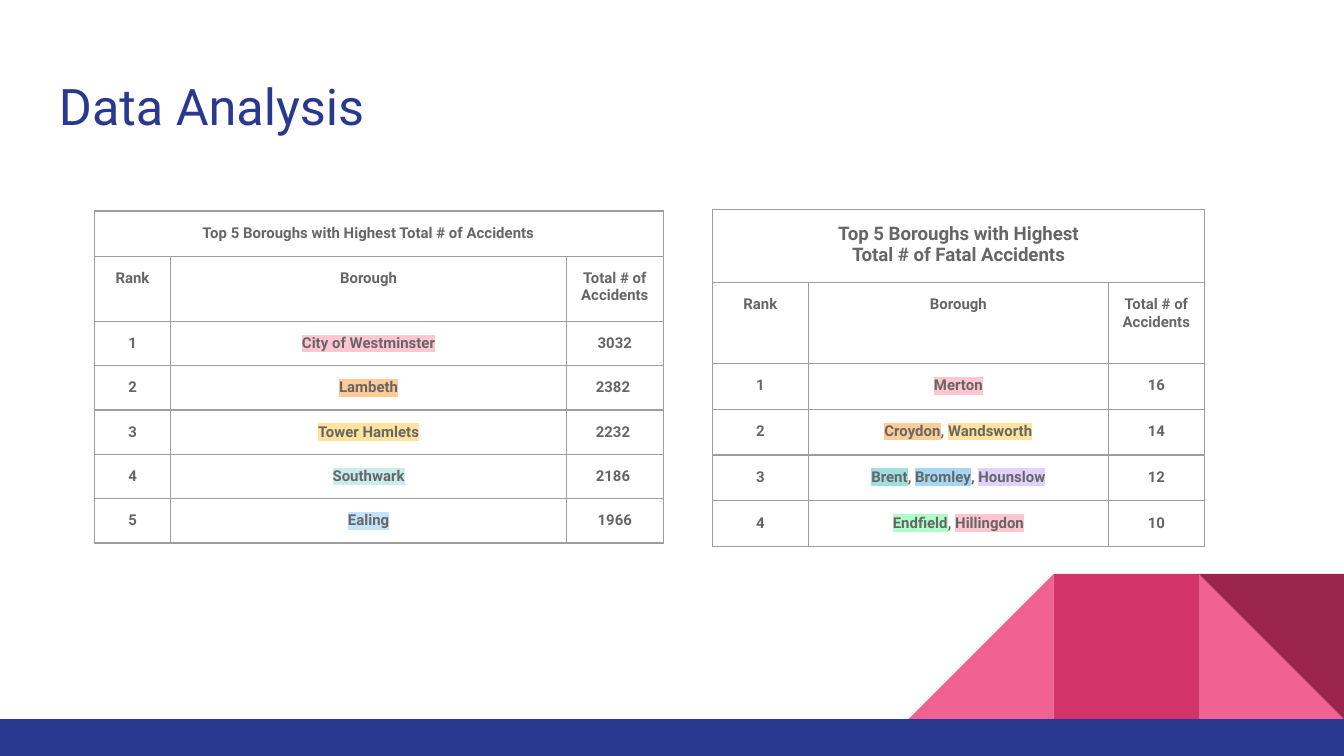
from lxml import etree
from pptx import Presentation
from pptx.dml.color import RGBColor
from pptx.enum.shapes import MSO_SHAPE
from pptx.enum.text import MSO_ANCHOR, PP_ALIGN
from pptx.oxml.ns import qn
from pptx.util import Pt

RECTANGLE = MSO_SHAPE.RECTANGLE
TRIANGLE = MSO_SHAPE.RIGHT_TRIANGLE
CENTER = PP_ALIGN.CENTER
BOTTOM = MSO_ANCHOR.BOTTOM

FONT = "Roboto"
NAVY, PINK, ROSE, WINE = "2A3990", "F06292", "D23369", "9C254D"
GREY, LINE, WHITE = "666666", "9E9E9E", "FFFFFF"
PADDING = Pt(7.2)


def color(value):
    return RGBColor.from_string(value)


def add_text(para, text, size, fill=GREY, bold=False, highlight=None):
    span = para.add_run()
    span.text = text
    span.font.size = Pt(size)
    span.font.bold = bold
    span.font.color.rgb = color(fill)
    if highlight:
        mark = etree.SubElement(span.font._element, qn("a:highlight"))
        etree.SubElement(mark, qn("a:srgbClr"), val=highlight)
    span.font.name = FONT


deck = Presentation()
deck.slide_width, deck.slide_height = Pt(720), Pt(405)
page = deck.slides.add_slide(deck.slide_layouts[6])

# Footer band with the folded blocks standing on it
BAND_TOP, SIDE = 385.2, 77.76
BLOCK_TOP = BAND_TOP - SIDE
decorations = [
    (TRIANGLE, 720 - SIDE, BLOCK_TOP, SIDE, SIDE, 0, PINK),
    (TRIANGLE, 720 - 3 * SIDE, BLOCK_TOP, SIDE, SIDE, 270, PINK),
    (RECTANGLE, 720 - 2 * SIDE, BLOCK_TOP, SIDE, SIDE, 0, ROSE),
    (TRIANGLE, 720 - SIDE, BLOCK_TOP, SIDE, SIDE, 180, WINE),
    (RECTANGLE, 0, BAND_TOP, 720, 405 - BAND_TOP, 0, NAVY),
]
for kind, left, top, width, height, rotation, fill in decorations:
    shape = page.shapes.add_shape(kind, Pt(left), Pt(top), Pt(width), Pt(height))
    shape.rotation = rotation
    shape.shadow.inherit = False
    shape.fill.solid()
    shape.fill.fore_color.rgb = color(fill)
    shape.line.fill.background()

# Each cell is a list of (text, highlight) spans
HEADINGS = [[("Rank", None)], [("Borough", None)], [("Total # of Accidents", None)]]
fatal_accidents = [
    ([("Merton", "FFC6D2")], "16"),
    ([("Croydon", "FFCB97"), (", ", None), ("Wandsworth", "FFE29B")], "14"),
    ([("Brent", "A1DFDF"), (", ", None), ("Bromley", "A6D6F6"), (", ", None),
      ("Hounslow", "E0D1FF")], "12"),
    ([("Endfield", "B0FCCB"), (", ", None), ("Hillingdon", "FFC6D2")], "10"),
]
all_accidents = [
    ([("City of Westminster", "FFC6D2")], "3032"),
    ([("Lambeth", "FFCB97")], "2382 "),
    ([("Tower Hamlets", "FFE29B")], "2232 "),
    ([("Southwark", "C9ECEC")], "2186 "),
    ([("Ealing", "C2E3F9")], "1966"),
]
# title, title size, left, top, column widths, title / heading / body row heights, entries
tables = [
    ("Top 5 Boroughs with Highest Total # of Fatal Accidents", 10, 381.6, 112.2,
     (51.5, 160.7, 51.5), (39.1, 43.5, 24.5), fatal_accidents),
    ("Top 5 Boroughs with Highest Total # of Accidents", 8, 50.5, 113,
     (41, 212, 51.8), (23.7, 34.8, 23.7), all_accidents),
]
for title, title_size, left, top, widths, heights, entries in tables:
    rows = [[[], [(title, None)], []], HEADINGS]
    for rank, (boroughs, total) in enumerate(entries, start=1):
        rows.append([[(str(rank), None)], boroughs, [(total, None)]])
    row_heights = heights[:2] + heights[2:] * len(entries)
    table = page.shapes.add_table(len(rows), 3, Pt(left), Pt(top),
                                  Pt(sum(widths)), Pt(sum(row_heights))).table
    table.horz_banding = False
    for column, width in zip(table.columns, widths):
        column.width = Pt(width)
    for row_index, spans_by_column in enumerate(rows):
        table.rows[row_index].height = Pt(row_heights[row_index])
        size = title_size if row_index == 0 else 8
        for column_index, spans in enumerate(spans_by_column):
            cell = table.cell(row_index, column_index)
            cell.margin_left = cell.margin_right = PADDING
            cell.margin_top = cell.margin_bottom = PADDING
            para = cell.text_frame.paragraphs[0]
            para.alignment = CENTER
            for text, highlight in spans:
                add_text(para, text, size, bold=True, highlight=highlight)
            if not spans:
                etree.SubElement(para._p, qn("a:endParaRPr"), sz="800")
            # The title row has no lines between its columns
            hidden = set()
            if row_index == 0:
                hidden = {0: {"R"}, 1: {"L", "R"}, 2: {"L"}}[column_index]
            properties = cell._tc.get_or_add_tcPr()
            for edge in "LRTB":
                border = etree.SubElement(properties, qn(f"a:ln{edge}"), w=str(Pt(0.75)))
                if edge in hidden:
                    etree.SubElement(border, qn("a:noFill"))
                else:
                    stroke = etree.SubElement(border, qn("a:solidFill"))
                    etree.SubElement(stroke, qn("a:srgbClr"), val=LINE)
            cell.fill.solid()
            cell.fill.fore_color.rgb = color(WHITE)

title_box = page.shapes.add_textbox(Pt(24.5), Pt(32.4), Pt(671), Pt(47.5))
frame = title_box.text_frame
frame.word_wrap = True
frame.vertical_anchor = BOTTOM
frame.margin_left = frame.margin_right = PADDING
frame.margin_top = frame.margin_bottom = PADDING
add_text(frame.paragraphs[0], "Data Analysis", 27, fill=NAVY)

deck.save("out.pptx")
